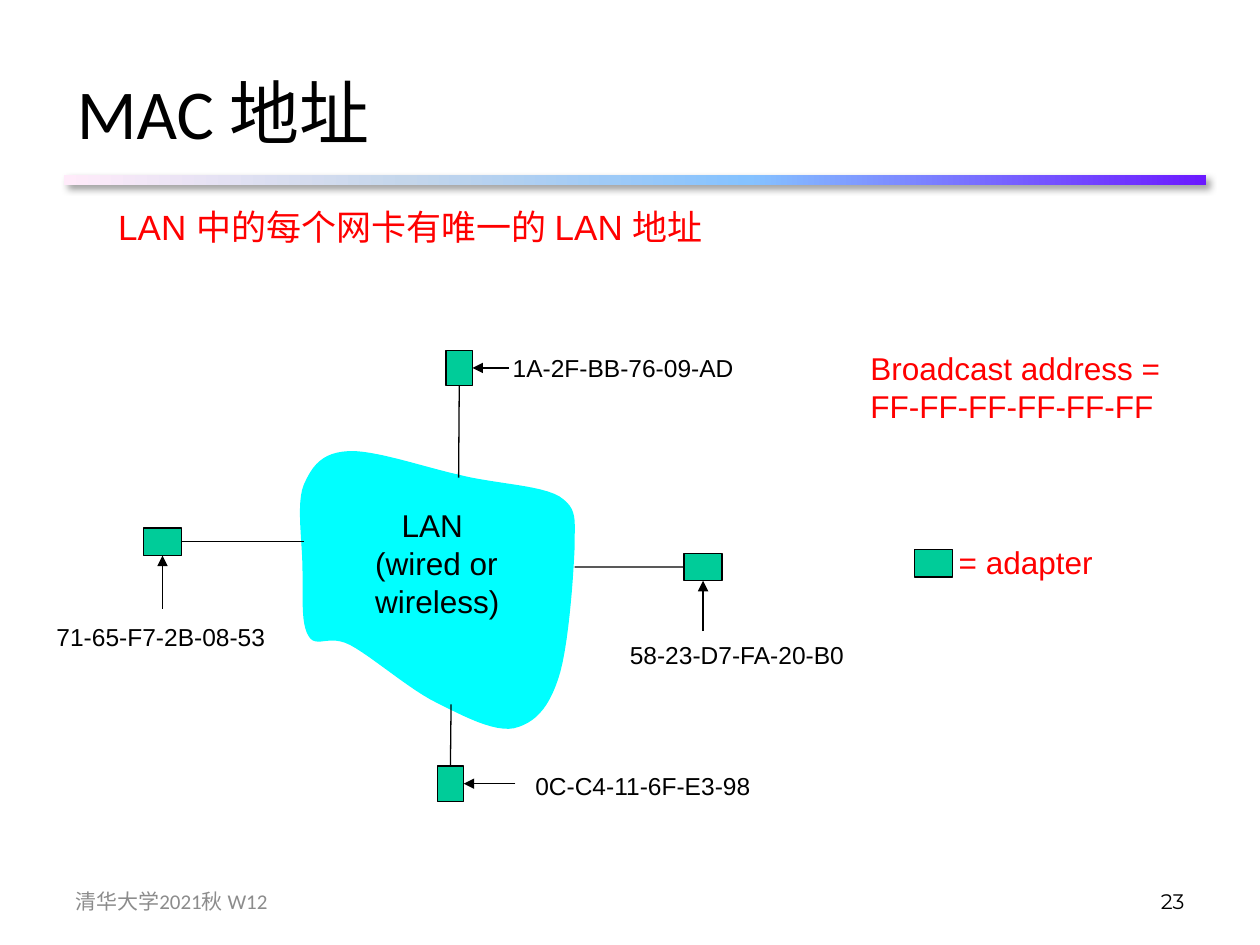
from lxml.etree import SubElement
from pptx import Presentation
from pptx.dml.color import RGBColor
from pptx.enum.shapes import MSO_CONNECTOR, MSO_SHAPE
from pptx.enum.text import MSO_ANCHOR, PP_ALIGN
from pptx.oxml import parse_xml
from pptx.oxml.ns import nsdecls, qn
from pptx.util import Inches, Pt

BLACK = RGBColor(0x00, 0x00, 0x00)
RED = RGBColor(0xFF, 0x00, 0x00)
GREY = RGBColor(0x8C, 0x8C, 0x8C)
GREEN = RGBColor(0x00, 0xCC, 0x99)
CYAN = RGBColor(0x00, 0xFF, 0xFF)

TOP, LEFT, BOTTOM, RIGHT = range(4)

prs = Presentation()
prs.slide_width, prs.slide_height = Inches(10), Inches(7.5)
slide = prs.slides.add_slide(prs.slide_layouts[5])
shapes = slide.shapes


def add_text(box, lines, size, color=BLACK, font="Arial",
             anchor=MSO_ANCHOR.TOP, align=PP_ALIGN.LEFT, wrap=False):
    """Add a text box at box (left, top, width, height), one paragraph per line."""
    frame = shapes.add_textbox(*map(Inches, box)).text_frame
    frame.word_wrap = wrap
    frame.vertical_anchor = anchor
    for i, line in enumerate(lines):
        paragraph = frame.add_paragraph() if i else frame.paragraphs[0]
        paragraph.alignment = align
        run = paragraph.add_run()
        run.text = line
        run.font.size, run.font.name = Pt(size), font
        run.font.color.rgb = color
    return frame


def add_line(start, end):
    line = shapes.add_connector(MSO_CONNECTOR.STRAIGHT,
                                *map(Inches, (*start, *end)))
    line.line.color.rgb = BLACK
    line.line.width = Pt(0.75)
    SubElement(line._element.spPr, qn("a:effectLst"))
    return line


# Title and gradient rule
title = shapes.title
title.left, title.top = Inches(0.51), Inches(0.38)
title.width, title.height = Inches(9.06), Inches(1.01)
title.text_frame.vertical_anchor = MSO_ANCHOR.MIDDLE
heading = title.text_frame.paragraphs[0]
heading.alignment = PP_ALIGN.LEFT
run = heading.add_run()
run.text = "MAC 地址"
run.font.size, run.font.name = Pt(40), "Calibri"
run.font.color.rgb = BLACK

rule = shapes.add_shape(MSO_SHAPE.RECTANGLE, Inches(0.51), Inches(1.39),
                        Inches(9.06), Inches(0.08))
rule.line.fill.background()
stops = "".join(
    f'<a:gs pos="{percent * 1000}"><a:srgbClr val="{color}"/></a:gs>'
    for percent, color in [(0, "FFEBFA"), (30, "C4D6EB"),
                           (60, "85C2FF"), (100, "6B19FF")])
rule_props = rule._element.spPr
rule_props.find(qn("a:prstGeom")).addnext(parse_xml(
    f'<a:gradFill {nsdecls("a")}><a:gsLst>{stops}</a:gsLst>'
    '<a:lin ang="0" scaled="0"/></a:gradFill>'))
rule_props.append(parse_xml(
    f'<a:effectLst {nsdecls("a")}>'
    f'<a:outerShdw blurRad="{Pt(4)}" dist="{Pt(3)}" dir="2700000">'
    '<a:srgbClr val="000000"><a:alpha val="40000"/></a:srgbClr>'
    '</a:outerShdw></a:effectLst>'))

# Statement and legend
add_text((0.84, 1.58, 5.03, 0.44), ["LAN 中的每个网卡有唯一的 LAN 地址"],
         20, RED, wrap=True)
add_text((6.81, 2.72, 2.58, 0.7),
         ["Broadcast address =", "FF-FF-FF-FF-FF-FF"], 18, RED)
add_text((7.51, 4.26, 1.32, 0.4), ["= adapter"], 18, RED)

# LAN cloud: Bezier segments (two control points and an end point), sampled
cloud_start = (2.77, 3.58)
cloud_curves = [
    ((2.56, 3.59), (2.48, 3.69), (2.41, 3.85)),
    ((2.35, 4.00), (2.40, 4.30), (2.40, 4.50)),
    ((2.41, 4.70), (2.38, 4.94), (2.45, 5.05)),
    ((2.51, 5.15), (2.61, 5.03), (2.78, 5.12)),
    ((2.95, 5.21), (3.26, 5.48), (3.47, 5.58)),
    ((3.69, 5.69), (3.92, 5.81), (4.08, 5.78)),
    ((4.24, 5.74), (4.35, 5.63), (4.43, 5.39)),
    ((4.51, 5.16), (4.55, 4.60), (4.56, 4.36)),
    ((4.56, 4.12), (4.59, 4.04), (4.44, 3.94)),
    ((4.29, 3.85), (3.93, 3.84), (3.65, 3.77)),
    ((3.38, 3.71), (2.97, 3.57), (2.77, 3.58)),
]
STEPS = 12
outline = []
current = cloud_start
for curve in cloud_curves:
    for step in range(1, STEPS + 1):
        t = step / STEPS
        weights = ((1 - t) ** 3, 3 * t * (1 - t) ** 2, 3 * t ** 2 * (1 - t), t ** 3)
        outline.append(tuple(
            Inches(sum(w * point[axis] for w, point in zip(weights, (current, *curve))))
            for axis in (0, 1)))
    current = curve[-1]
builder = shapes.build_freeform(*map(Inches, cloud_start))
builder.add_line_segments(outline, close=True)
cloud = builder.convert_to_shape()
cloud.shadow.inherit = False
cloud.fill.solid()
cloud.fill.fore_color.rgb = CYAN
cloud.line.fill.background()

# Adapters: box, (side, cloud end) of the link, (side, start) of the arrow
adapters = [
    ((7.26, 4.36, 0.30, 0.22), None, None),
    ((5.43, 4.39, 0.30, 0.22), (LEFT, (4.56, 4.50)), (BOTTOM, (5.58, 5.01))),
    ((1.14, 4.19, 0.30, 0.22), (RIGHT, (2.41, 4.30)), (BOTTOM, (1.29, 4.83))),
    ((3.54, 2.78, 0.21, 0.28), (BOTTOM, (3.64, 3.79)), (RIGHT, (4.04, 2.92))),
    ((3.47, 6.08, 0.21, 0.28), (TOP, (3.58, 5.59)), (RIGHT, (4.09, 6.22))),
]
for box, link, pointer in adapters:
    adapter = shapes.add_shape(MSO_SHAPE.RECTANGLE, *map(Inches, box))
    adapter.shadow.inherit = False
    adapter.fill.solid()
    adapter.fill.fore_color.rgb = GREEN
    adapter.line.color.rgb = BLACK
    adapter.line.width = Pt(0.75)
    if link:
        side, cloud_end = link
        add_line(box[:2], cloud_end).begin_connect(adapter, side)
    if pointer:
        side, start = pointer
        arrow = add_line(start, box[:2])
        arrow.end_connect(adapter, side)
        SubElement(arrow.line._get_or_add_ln(), qn("a:tailEnd"), type="triangle")

# MAC addresses
for box, address in [
    ((3.97, 2.75, 2.08, 0.33), "1A-2F-BB-76-09-AD"),
    ((4.90, 5.03, 2.08, 0.33), "58-23-D7-FA-20-B0"),
    ((4.15, 6.07, 1.96, 0.33), "0C-C4-11-6F-E3-98"),
    ((0.35, 4.89, 2.00, 0.33), "71-65-F7-2B-08-53"),
]:
    add_text(box, [address], 14)

cloud_label = add_text((2.88, 3.97, 1.27, 1), ["LAN", "(wired or", "wireless)"], 18)
cloud_label.paragraphs[0]._p.get_or_add_pPr().set("marL", str(Inches(0.21)))

# Footer
add_text((0.5, 6.95, 2.33, 0.4), ["清华大学2021秋 W12"], 12, GREY, "Calibri",
         MSO_ANCHOR.MIDDLE, wrap=True)
add_text((7.17, 6.95, 2.33, 0.4), ["23"], 12, BLACK, "Montserrat",
         MSO_ANCHOR.MIDDLE, PP_ALIGN.RIGHT, wrap=True)

prs.save("out.pptx")
